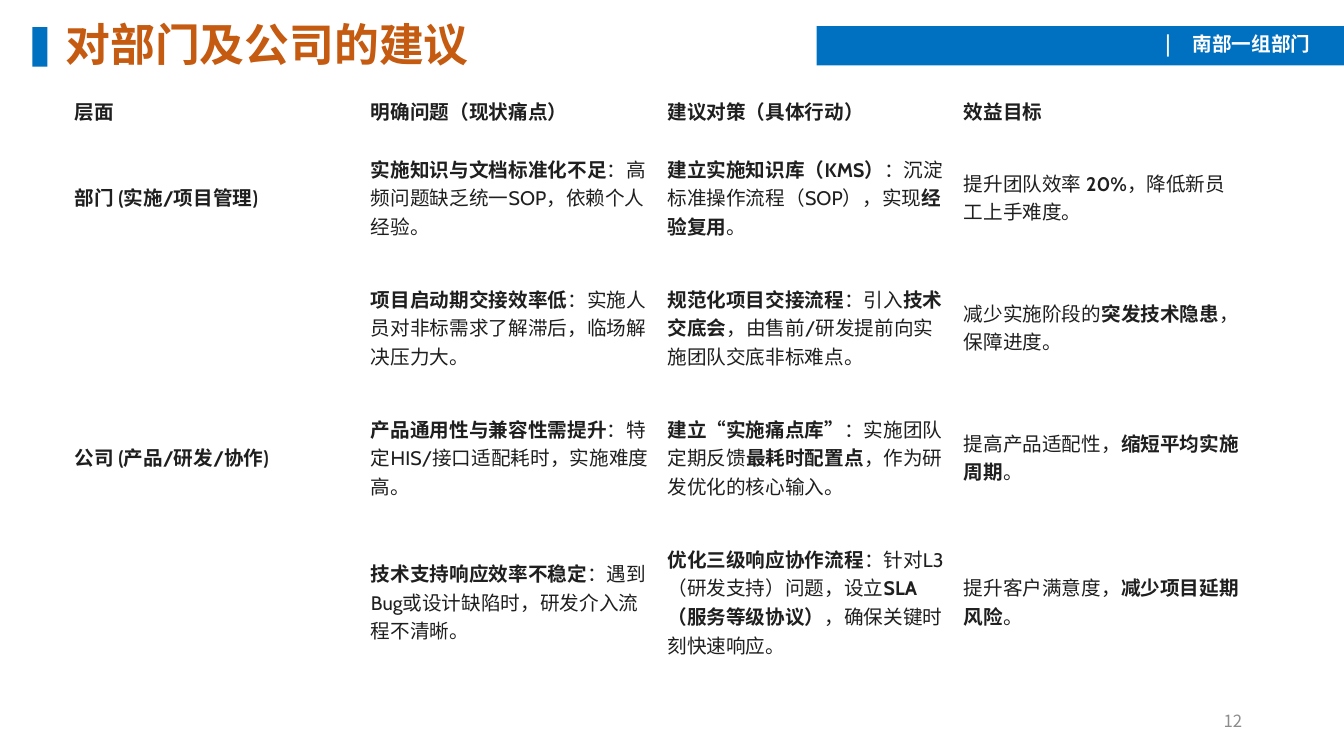
import pptx
import pptx.dml.color
import pptx.enum.shapes
import pptx.enum.text
import pptx.oxml.ns
import pptx.util
from lxml import etree

Inches = pptx.util.Inches
RGBColor = pptx.dml.color.RGBColor
ANCHOR = pptx.enum.text.MSO_ANCHOR
ALIGN = pptx.enum.text.PP_ALIGN
qn = pptx.oxml.ns.qn

BLUE = RGBColor(0x00, 0x70, 0xC0)
ORANGE = RGBColor(0xC5, 0x5A, 0x11)
WHITE = RGBColor(0xFF, 0xFF, 0xFF)
INK = RGBColor(0x1F, 0x1F, 0x1F)
GREY = RGBColor(0x8C, 0x8C, 0x8C)
CJK_FONT = "Noto Sans CJK SC"
LATIN_FONT = "Cabin"

# Text between ** marks is bold
ADVICE = [
    ["**层面**", "**明确问题（现状痛点）**", "**建议对策（具体行动）**", "**效益目标**"],
    ["**部门 (实施/项目管理)**",
     "**实施知识与文档标准化不足**：高频问题缺乏统一SOP，依赖个人经验。",
     "**建立实施知识库（KMS）**：沉淀标准操作流程（SOP），实现**经验复用**。",
     "提升团队效率 **20%**，降低新员工上手难度。"],
    ["",
     "**项目启动期交接效率低**：实施人员对非标需求了解滞后，临场解决压力大。",
     "**规范化项目交接流程**：引入**技术交底会**，由售前/研发提前向实施团队交底非标难点。",
     "减少实施阶段的**突发技术隐患**，保障进度。"],
    ["**公司 (产品/研发/协作)**",
     "**产品通用性与兼容性需提升**：特定HIS/接口适配耗时，实施难度高。",
     "**建立“实施痛点库”**：实施团队定期反馈**最耗时配置点**，作为研发优化的核心输入。",
     "提高产品适配性，**缩短平均实施周期**。"],
    ["",
     "**技术支持响应效率不稳定**：遇到Bug或设计缺陷时，研发介入流程不清晰。",
     "**优化三级响应协作流程**：针对L3（研发支持）问题，设立**SLA（服务等级协议）**，确保关键时刻快速响应。",
     "提升客户满意度，**减少项目延期风险**。"],
]
ROW_HEIGHTS = [0.42, 1.29, 1.29, 1.29, 1.58]


def write(para, text, size=14, color=INK, font=CJK_FONT):
    """Add the text as spans, bold between ** marks."""
    for index, piece in enumerate(text.split("**")):
        if not piece:
            continue
        span = para.add_run()
        span.text = piece
        span.font.size = pptx.util.Pt(size)
        span.font.bold = index % 2 == 1
        span.font.color.rgb = color
        span.font.name = font
        east_asian = etree.SubElement(span._r.get_or_add_rPr(), qn("a:ea"))
        east_asian.set("typeface", CJK_FONT)


def add_text(page, left, top, width, height, text, anchor=ANCHOR.MIDDLE,
             align=ALIGN.LEFT, spacing=None, **style):
    box = page.shapes.add_textbox(Inches(left), Inches(top), Inches(width), Inches(height))
    box.text_frame.word_wrap = True
    box.text_frame.vertical_anchor = anchor
    para = box.text_frame.paragraphs[0]
    para.alignment = align
    para.line_spacing = spacing
    write(para, text, **style)
    return para


def add_bar(page, left, top, width, height):
    bar = page.shapes.add_shape(pptx.enum.shapes.MSO_SHAPE.RECTANGLE, Inches(left),
                                Inches(top), Inches(width), Inches(height))
    bar.shadow.inherit = False
    bar.fill.solid()
    bar.fill.fore_color.rgb = BLUE
    bar.line.fill.background()


def add_header(page, left, top, width, height):
    # Title with its marker
    add_bar(page, left, top, 0.15, height)
    add_text(page, left + 0.23, top, 7.01, height, "**对部门及公司的建议**",
             spacing=0.9, size=32, color=ORANGE)

    # Department band, its name set off by a tab stop
    band_width = 5.24
    right = left + width
    add_bar(page, right - band_width, top - 0.01, band_width, height)
    para = add_text(page, right - 1.88, top, 1.68, 0.34, "**|\t南部一组部门**",
                    anchor=ANCHOR.TOP, color=WHITE)
    tabs = etree.SubElement(para._p.get_or_add_pPr(), qn("a:tabLst"))
    etree.SubElement(tabs, qn("a:tab"), pos=str(Inches(0.27)), algn="l")


def add_borders(cell):
    properties = cell._tc.get_or_add_tcPr()
    for side in ("lnL", "lnR", "lnT", "lnB"):
        line = etree.SubElement(properties, qn("a:" + side), w=str(pptx.util.Pt(0.6)))
        fill = etree.SubElement(line, qn("a:solidFill"))
        etree.SubElement(fill, qn("a:srgbClr"), val=str(WHITE))


def add_advice_table(page, left, top, width):
    frame = page.shapes.add_table(len(ADVICE), len(ADVICE[0]), Inches(left), Inches(top),
                                  Inches(width), Inches(sum(ROW_HEIGHTS)))
    table = frame.table
    table.first_row = False
    table.horz_banding = False
    for column in table.columns:
        column.width = Inches(width / len(ADVICE[0]))
    for row, height, texts in zip(table.rows, ROW_HEIGHTS, ADVICE):
        row.height = Inches(height)
        for cell, text in zip(row.cells, texts):
            add_borders(cell)
            cell.fill.background()
            cell.vertical_anchor = ANCHOR.MIDDLE
            cell.margin_left = cell.margin_right = Inches(0.08)
            cell.margin_top = cell.margin_bottom = Inches(0.05)
            write(cell.text_frame.paragraphs[0], text, font=LATIN_FONT)


def main():
    deck = pptx.Presentation()
    deck.slide_width = Inches(13.33)
    deck.slide_height = Inches(7.5)
    page = deck.slides.add_slide(deck.slide_layouts[6])

    add_header(page, 0.32, 0.27, 13.02, 0.39)
    add_advice_table(page, 0.66, 0.89, 11.76)
    # Page number
    add_text(page, 9.42, 6.95, 3, 0.4, "12", align=ALIGN.RIGHT, size=12, color=GREY)

    deck.save("out.pptx")


if __name__ == "__main__":
    main()
